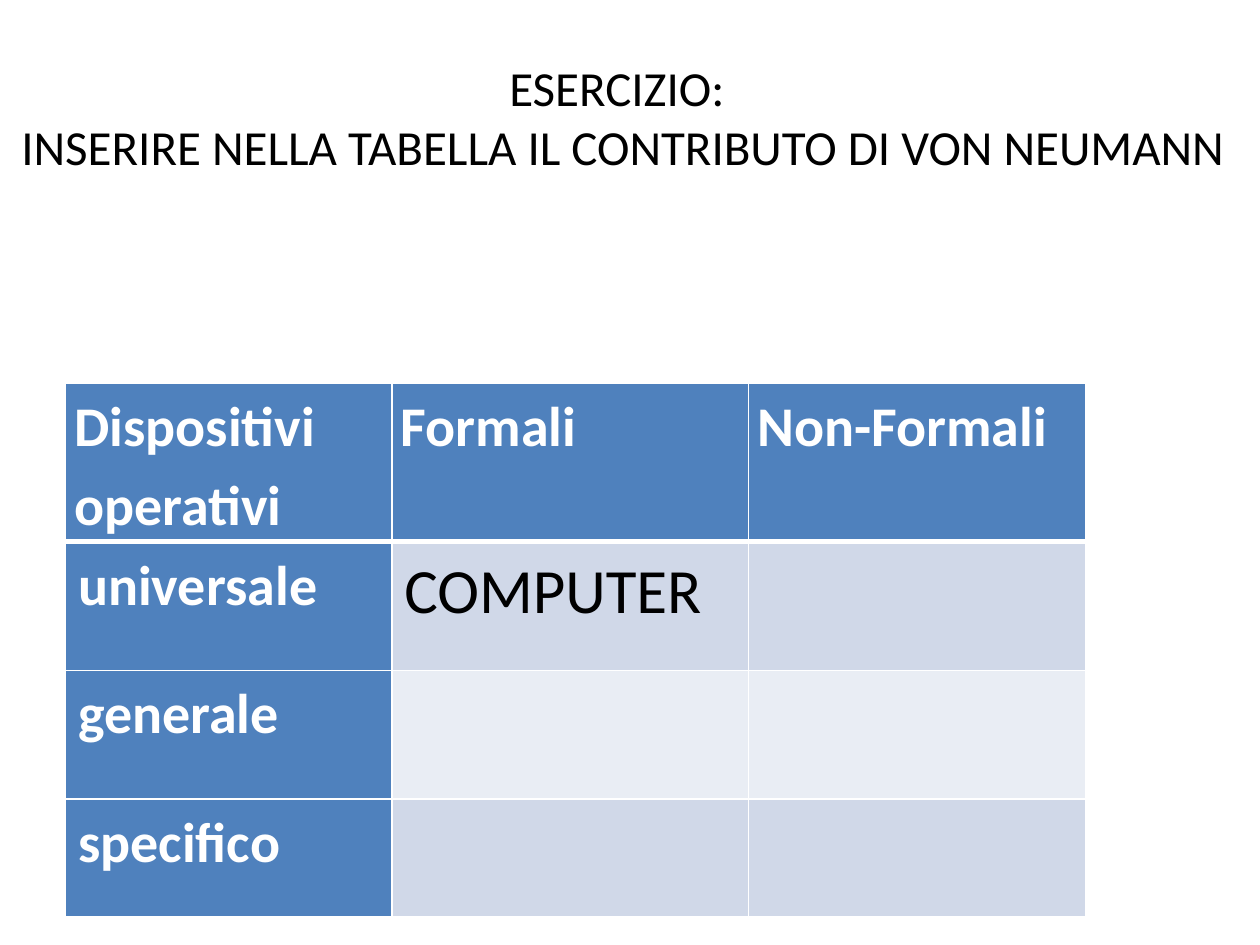
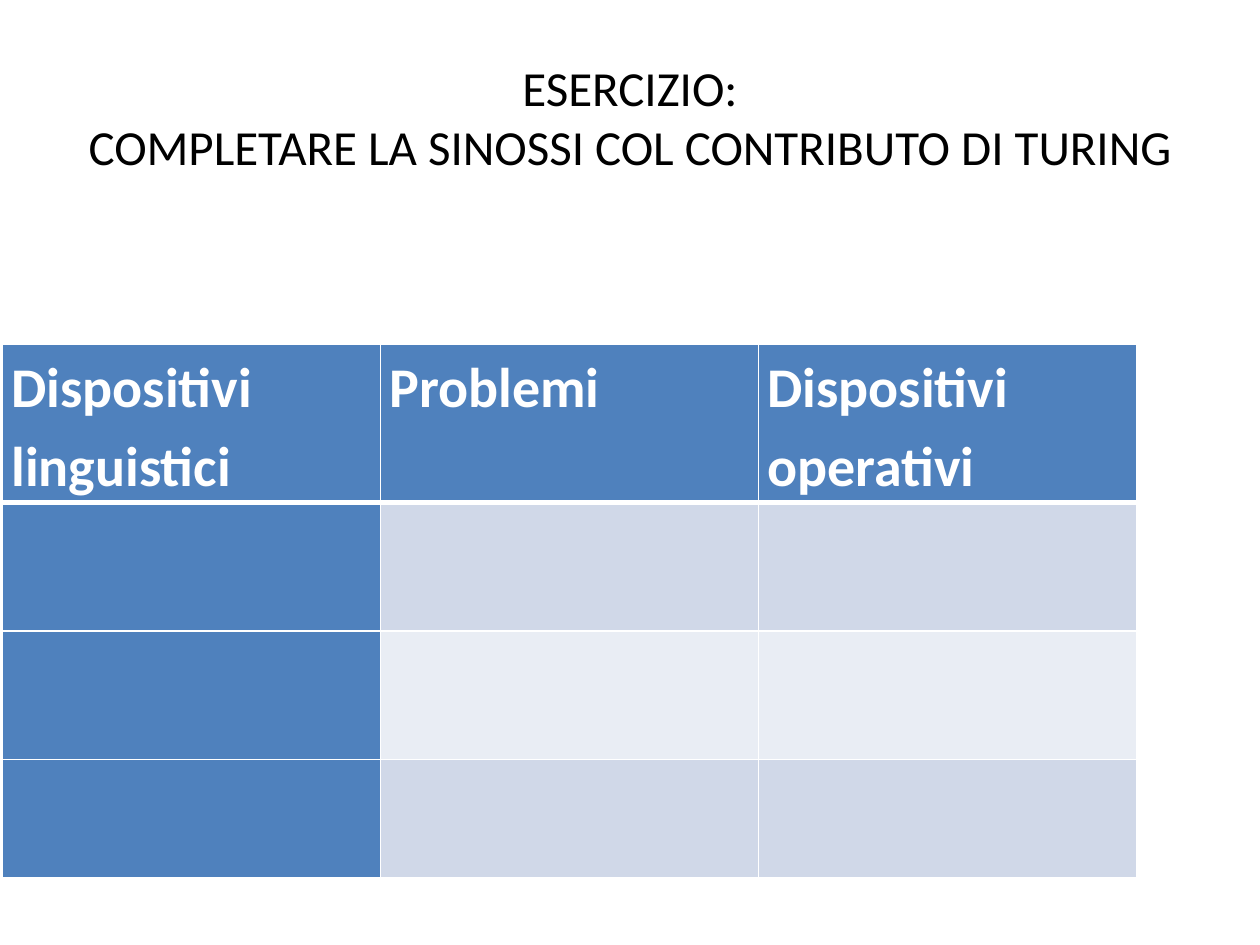
from dataclasses import dataclass

import pptx
import pptx.dml.color
import pptx.enum.text
import pptx.oxml.ns
import pptx.util
from lxml import etree


@dataclass(frozen=True)
class Theme:
    font: str = "Calibri"
    ink: str = "000000"
    paper: str = "FFFFFF"
    accent: str = "4F81BD"
    bands: tuple = ("D0D8E8", "E9EDF4")
    title_size: int = 28
    label_size: int = 32
    entry_size: int = 36
    thin: int = 1
    thick: int = 3


THEME = Theme()
WIDTH, HEIGHT = 10, 7.5
TITLE_TOP, TITLE_HEIGHT = 0.3, 1.25
ROW_HEIGHTS = (1.26, 1.02, 1.02, 0.94)
CELL_MARGIN, ENTRY_INDENT = 0.07, 0.03
LINE_SPACING = 1.15
TITLE_ONLY = 5

inches = pptx.util.Inches
qn = pptx.oxml.ns.qn


def rgb(colour):
    return pptx.dml.color.RGBColor.from_string(colour)


def write(frame, text, size, colour, bold=False, align=None, spacing=None):
    """Fill a text frame with one formatted paragraph; a newline breaks the line."""
    paragraph = frame.paragraphs[0]
    paragraph.text = text
    paragraph.alignment = align
    paragraph.line_spacing = spacing
    for run in paragraph.runs:
        run.font.name = THEME.font
        run.font.size = pptx.util.Pt(size)
        run.font.bold = bold
        run.font.color.rgb = rgb(colour)
    # Line breaks carry their own size
    for line_break in paragraph._p.findall(qn("a:br")):
        etree.SubElement(line_break, qn("a:rPr"), sz=str(size * 100))


def add_title(slide, text, left, width):
    title = slide.shapes.title
    title.left, title.top = inches(left), inches(TITLE_TOP)
    title.width, title.height = inches(width), inches(TITLE_HEIGHT)
    frame = title.text_frame
    frame.auto_size = pptx.enum.text.MSO_AUTO_SIZE.NONE
    frame.vertical_anchor = pptx.enum.text.MSO_ANCHOR.MIDDLE
    write(frame, text, THEME.title_size, THEME.ink,
          align=pptx.enum.text.PP_ALIGN.CENTER)


def add_borders(cell, row):
    """Thin white rules, with a thick one under the header row."""
    widths = {
        "a:lnL": THEME.thin,
        "a:lnR": THEME.thin,
        "a:lnT": THEME.thick if row == 1 else THEME.thin,
        "a:lnB": THEME.thick if row == 0 else THEME.thin,
    }
    properties = cell._tc.get_or_add_tcPr()
    for side, width in widths.items():
        rule = etree.SubElement(properties, qn(side), w=str(pptx.util.Pt(width)))
        fill = etree.SubElement(rule, qn("a:solidFill"))
        etree.SubElement(fill, qn("a:srgbClr"), val=THEME.paper)


def format_cell(cell, text, row, column):
    is_label = row == 0 or column == 0
    add_borders(cell, row)
    cell.fill.solid()
    cell.fill.fore_color.rgb = rgb(
        THEME.accent if is_label else THEME.bands[(row - 1) % 2])
    cell.margin_left = inches(CELL_MARGIN + (ENTRY_INDENT if row else 0))
    cell.margin_right = inches(CELL_MARGIN)
    cell.margin_top = cell.margin_bottom = 0
    if text:
        write(cell.text_frame, text,
              THEME.label_size if is_label else THEME.entry_size,
              THEME.paper if is_label else THEME.ink,
              bold=is_label, spacing=LINE_SPACING)


def add_grid(slide, left, top, column_widths, headers, entries):
    """Draw the exercise table; entries maps (row, column) to its text."""
    grid = slide.shapes.add_table(
        len(ROW_HEIGHTS), len(column_widths), inches(left), inches(top),
        inches(sum(column_widths)), inches(sum(ROW_HEIGHTS))).table
    for column, width in zip(grid.columns, column_widths):
        column.width = inches(width)
    texts = {(0, column): header for column, header in enumerate(headers)}
    texts.update(entries)
    for row, height in enumerate(ROW_HEIGHTS):
        grid.rows[row].height = inches(height)
        for column in range(len(column_widths)):
            format_cell(grid.cell(row, column), texts.get((row, column), ""),
                        row, column)


def add_exercise(deck, title, title_left, title_width, **grid):
    slide = deck.slides.add_slide(deck.slide_layouts[TITLE_ONLY])
    add_title(slide, title, title_left, title_width)
    add_grid(slide, **grid)


def main():
    deck = pptx.Presentation()
    deck.slide_width, deck.slide_height = inches(WIDTH), inches(HEIGHT)

    # Von Neumann: operating devices by kind
    add_exercise(
        deck,
        "ESERCIZIO: \nINSERIRE NELLA TABELLA IL CONTRIBUTO DI VON NEUMANN",
        title_left=-0.12, title_width=WIDTH + 0.12,
        left=0.52, top=3.04, column_widths=(2.59, 2.83, 2.68),
        headers=("Dispositivi operativi", "Formali", "Non-Formali"),
        entries={(1, 0): "universale", (1, 1): "COMPUTER",
                 (2, 0): "generale", (3, 0): "specifico"})

    # Turing: synopsis to be completed
    add_exercise(
        deck,
        "ESERCIZIO:\nCOMPLETARE LA SINOSSI COL CONTRIBUTO DI TURING",
        title_left=0.05 * WIDTH, title_width=0.9 * WIDTH,
        left=0.02, top=2.73, column_widths=(0.3 * WIDTH,) * 3,
        headers=("Dispositivi linguistici", "Problemi", "Dispositivi operativi"),
        entries={})

    deck.save("out.pptx")


if __name__ == "__main__":
    main()
